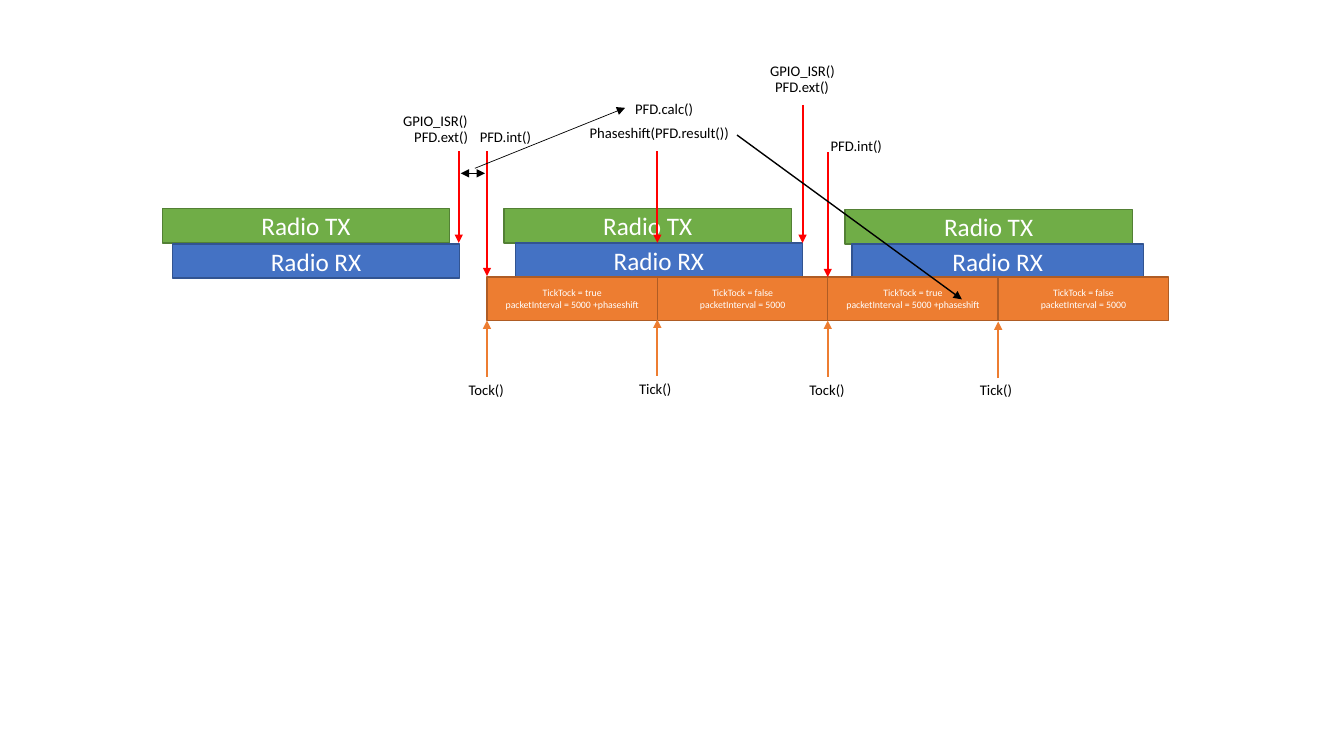
from pptx import Presentation
from pptx.dml.color import RGBColor
from pptx.enum.shapes import MSO_CONNECTOR as Connector, MSO_SHAPE as Shape
from pptx.enum.text import MSO_ANCHOR as Anchor, MSO_AUTO_SIZE as AutoSize, PP_ALIGN as Align
from pptx.oxml.ns import qn
from pptx.util import Inches, Pt
from lxml import etree

FONT = "Calibri"
RED, ORANGE, BLACK, WHITE = "FF0000", "ED7D31", "000000", "FFFFFF"
BAR_HEIGHT = 0.34

# Radio bars: left, top, width
radio_bars = {
    "Radio TX": ("70AD47", "538035", [(1.61, 2.07, 2.85), (5, 2.07, 2.85), (8.38, 2.08, 2.85)]),
    "Radio RX": ("4472C4", "325491", [(1.71, 2.42, 2.85), (5.11, 2.41, 2.85), (8.45, 2.42, 2.89)]),
}

# Timer periods, laid end to end
TIMER_LEFT, TIMER_TOP, TIMER_WIDTH, TIMER_HEIGHT = 4.83, 2.75, 1.69, 0.43
periods = [
    ("Tock()", 0.57, "TickTock = true\npacketInterval = 5000 +phaseshift"),
    ("Tick()", 0.52, "TickTock = false\npacketInterval = 5000"),
] * 2
tick_shifts = [0, -0.01, 0, 0.01]

# Interrupt arrows: x, top, bottom
interrupts = [(4.55, 1.5, 2.41), (4.83, 1.5, 2.74), (6.52, 1.5, 2.41),
              (7.96, 1.04, 2.41), (8.21, 1.51, 2.75)]

# Call labels: text, left, top, width
calls = [
    ("GPIO_ISR()", 3.9, 1.06, 0.85), ("PFD.ext()", 4.01, 1.22, 0.75),
    ("PFD.int()", 4.66, 1.22, 0.72), ("PFD.calc()", 6.2, 0.94, 0.79),
    ("Phaseshift(PFD.result())", 5.75, 1.18, 1.61),
    ("GPIO_ISR()", 7.54, 0.56, 0.85), ("PFD.ext()", 7.59, 0.72, 0.75),
    ("PFD.int()", 8.14, 1.31, 0.72),
]

# Phase arrows: start, end, line width, arrow ends
phase_arrows = [
    ((4.57, 1.72), (4.81, 1.72), 0.5, ("headEnd", "tailEnd")),
    ((4.71, 1.67), (6.2, 1.07), 0.5, ("tailEnd",)),
    ((7.31, 1.34), (9.54, 2.97), 1, ("tailEnd",)),
]


def color(value):
    return RGBColor.from_string(value)


def write(frame, text, size, font_color, align):
    frame.text = text
    font_format = {"name": FONT, "size": Pt(size)}
    for paragraph in frame.paragraphs:
        paragraph.alignment = align
        for run in paragraph.runs:
            for name, value in font_format.items():
                setattr(run.font, name, value)
            run.font.color.rgb = color(font_color)


def add_box(left, top, width, height, fill, line, text, size):
    shape = slide.shapes.add_shape(Shape.RECTANGLE, *map(Inches, (left, top, width, height)))
    shape.shadow.inherit = False
    shape.fill.solid()
    shape.fill.fore_color.rgb = color(fill)
    shape.line.color.rgb = color(line)
    shape.line.width = Pt(1)
    shape.text_frame.vertical_anchor = Anchor.MIDDLE
    write(shape.text_frame, text, size, WHITE, Align.CENTER)


def add_label(text, left, top, width):
    frame = slide.shapes.add_textbox(*map(Inches, (left, top, width, 0.28))).text_frame
    frame.word_wrap = False
    frame.auto_size = AutoSize.SHAPE_TO_FIT_TEXT
    write(frame, text, 10.5, BLACK, Align.LEFT)


def add_arrow(start, end, line_color, width, ends=("tailEnd",)):
    arrow = slide.shapes.add_connector(Connector.STRAIGHT, *map(Inches, start + end))
    arrow.line.color.rgb = color(line_color)
    arrow.line.width = Pt(width)
    properties = arrow._element.spPr
    for name in ends:
        etree.SubElement(properties.find(qn("a:ln")), qn("a:" + name), type="triangle")
    etree.SubElement(properties, qn("a:effectLst"))


presentation = Presentation()
presentation.slide_width, presentation.slide_height = Inches(13.33), Inches(7.5)
slide = presentation.slides.add_slide(presentation.slide_layouts[6])

# Transmit and receive bars
for text, (fill, line, places) in radio_bars.items():
    for left, top, width in places:
        add_box(left, top, width, BAR_HEIGHT, fill, line, text, 18)

# Timer periods with the call that starts each one
for index, ((call, call_width, text), shift) in enumerate(zip(periods, tick_shifts)):
    left = TIMER_LEFT + index * TIMER_WIDTH
    bottom = TIMER_TOP + TIMER_HEIGHT + shift
    add_box(left, TIMER_TOP, TIMER_WIDTH, TIMER_HEIGHT, ORANGE, "AF5C24", text, 7)
    add_arrow((left, bottom + 0.56), (left, bottom), ORANGE, 1.5)
    add_label(call, left - 0.28, 3.73 + min(shift, 0), call_width)

# Interrupts and calls
for x, top, bottom in interrupts:
    add_arrow((x, top), (x, bottom), RED, 1.5)
for call in calls:
    add_label(*call)

# Phase measurement and correction
for start, end, width, ends in phase_arrows:
    add_arrow(start, end, BLACK, width, ends)

presentation.save("out.pptx")
